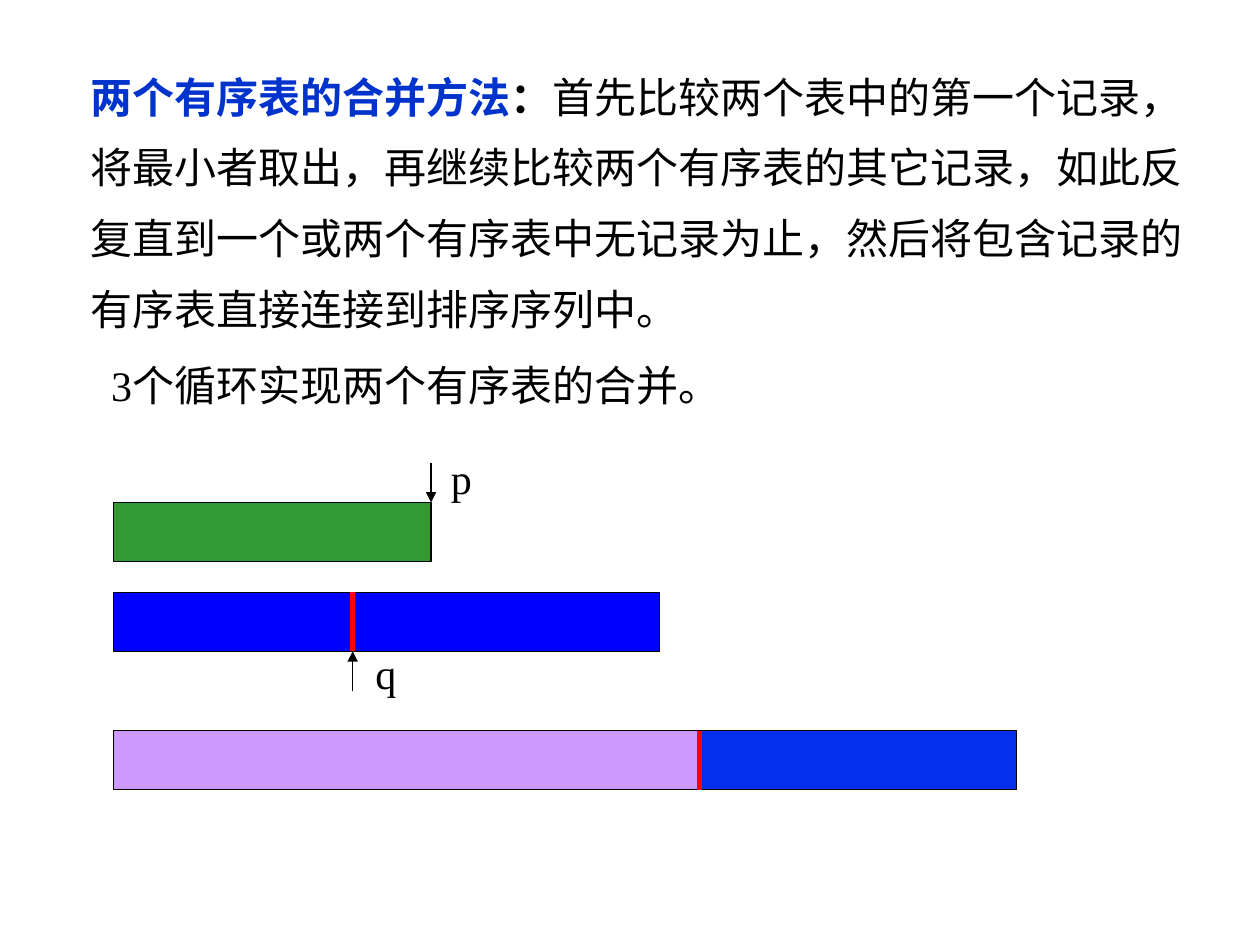
from lxml.etree import SubElement as Sub
from pptx import Presentation
from pptx.dml.color import RGBColor
from pptx.enum.shapes import MSO_CONNECTOR as Link, MSO_SHAPE as Shape
from pptx.enum.text import MSO_AUTO_SIZE as Fit, PP_ALIGN as Align
from pptx.oxml.ns import qn
from pptx.util import Cm, Pt

BLACK = RGBColor(0x00, 0x00, 0x00)
TITLE = RGBColor(0x00, 0x33, 0xCC)
GREEN = RGBColor(0x33, 0x99, 0x33)
BLUE = RGBColor(0x00, 0x00, 0xFF)
LILAC = RGBColor(0xCC, 0x99, 0xFF)
REST = RGBColor(0x04, 0x30, 0xEC)
RED = RGBColor(0xFF, 0x00, 0x00)

LEFT = 2.29
HIGH = 1.19
ROW_P, ROW_Q, ROW_OUT = 10.13, 11.94, 14.73
LONG_P, LONG_Q, LONG_OUT = 6.4, 11, 11.81
END_P = LEFT + LONG_P
AT_Q = 7.11
SPLIT = LEFT + LONG_OUT
ARROW = 0.8


def add_box(slide, left, top, width, height, wrap):
    box = slide.shapes.add_textbox(Cm(left), Cm(top), Cm(width), Cm(height))
    frame = box.text_frame
    frame.word_wrap = wrap
    frame.auto_size = Fit.SHAPE_TO_FIT_TEXT
    return frame


def add_run(para, text, color=BLACK, bold=False):
    run = para.add_run()
    run.text = text
    font = run.font
    font.name = "Times New Roman"
    font.size = Pt(24)
    font.bold = bold
    font.color.rgb = color


def indent(para, left):
    para._p.get_or_add_pPr().set("marL", str(Cm(left)))


def add_bar(slide, left, top, width, color):
    bar = slide.shapes.add_shape(
        Shape.RECTANGLE, Cm(left), Cm(top), Cm(width), Cm(HIGH))
    bar.shadow.inherit = False
    bar.fill.solid()
    bar.fill.fore_color.rgb = color
    bar.line.color.rgb = BLACK
    bar.line.width = Pt(0.75)


def add_line(slide, x, start, end, color, width):
    """Draw a vertical line without a shadow."""
    line = slide.shapes.add_connector(
        Link.STRAIGHT, Cm(x), Cm(start), Cm(x), Cm(end))
    line.line.color.rgb = color
    line.line.width = Pt(width)
    Sub(line._element.spPr, qn("a:effectLst"))
    return line


def add_arrow(slide, x, start, end):
    line = add_line(slide, x, start, end, BLACK, 0.75)
    Sub(line.line._get_or_add_ln(), qn("a:tailEnd"), type="triangle")


def add_mark(slide, x, top):
    """Draw a red divider across a bar."""
    add_line(slide, x, top, top + HIGH, RED, 3)


def add_label(slide, text, left, top):
    frame = add_box(slide, left, top, 0.91, 1.27, False)
    add_run(frame.paragraphs[0], text)


def add_intro(slide):
    frame = add_box(slide, 0.3, 0.91, 24.56, 7.49, True)
    rule = frame.paragraphs[0]
    rule.line_spacing = 1.4
    indent(rule, 1.27)
    add_run(rule, "两个有序表的合并方法", TITLE, True)
    add_run(rule, "：", bold=True)
    add_run(rule, "首先比较两个表中的第一个记录，将最小者取出，"
                  "再继续比较两个有序表的其它记录，"
                  "如此反复直到一个或两个有序表中无记录为止，"
                  "然后将包含记录的有序表直接连接到排序序列中。")
    loops = frame.add_paragraph()
    loops.alignment = Align.JUSTIFY
    loops.space_before = Pt(15)
    indent(loops, 1.69)
    add_run(loops, "3个循环实现两个有序表的合并。")


def main():
    deck = Presentation()
    deck.slide_width, deck.slide_height = Cm(25.4), Cm(19.05)
    slide = deck.slides.add_slide(deck.slide_layouts[6])
    add_intro(slide)

    add_bar(slide, LEFT, ROW_P, LONG_P, GREEN)
    add_bar(slide, LEFT, ROW_Q, LONG_Q, BLUE)
    add_bar(slide, LEFT, ROW_OUT, LONG_OUT, LILAC)
    add_bar(slide, SPLIT, ROW_OUT, LONG_P, REST)

    add_arrow(slide, END_P, ROW_P - ARROW, ROW_P)
    add_arrow(slide, AT_Q, ROW_Q + HIGH + ARROW, ROW_Q + HIGH)
    add_label(slide, "p", 8.84, 8.99)
    add_label(slide, "q", 7.32, 12.93)

    add_mark(slide, AT_Q, ROW_Q)
    add_mark(slide, SPLIT, ROW_OUT)
    deck.save("out.pptx")


if __name__ == "__main__":
    main()
